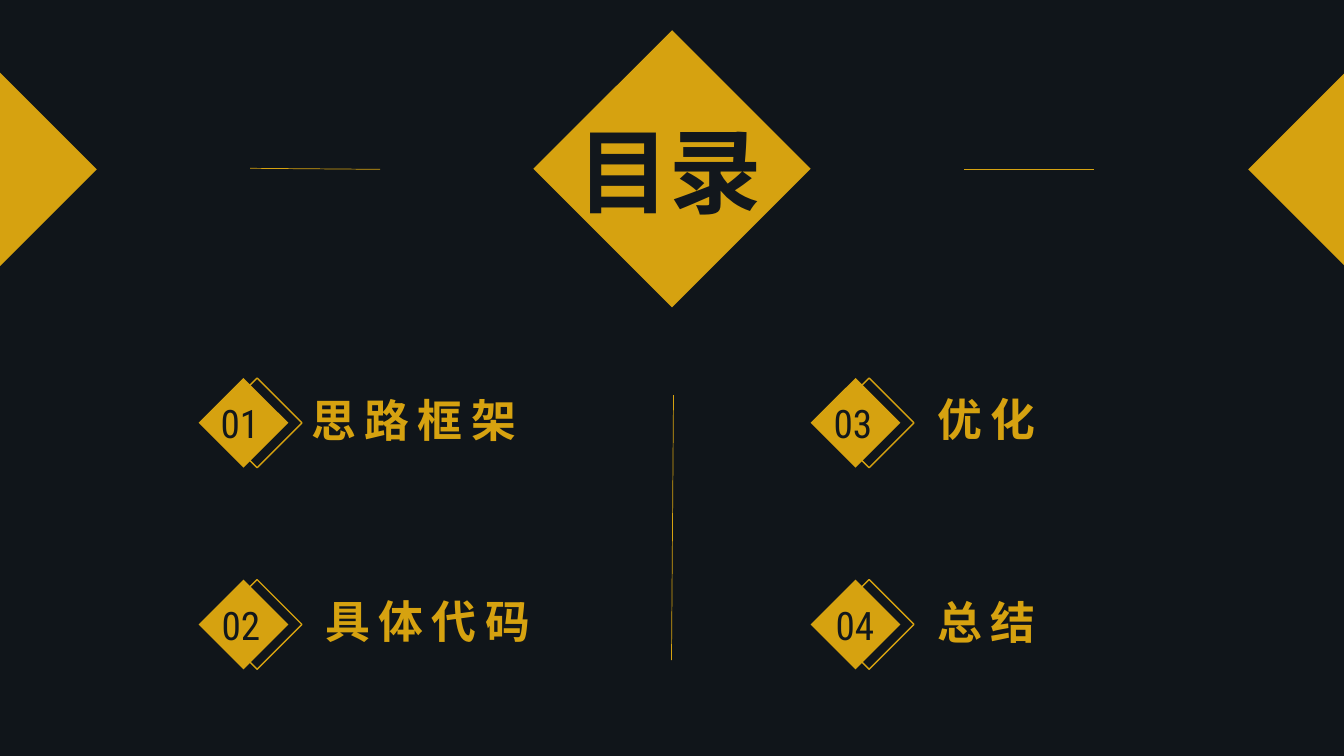
"""Builds a dark agenda slide with a diamond banner and four numbered topics."""
import pptx
import pptx.dml.color
import pptx.enum.shapes
import pptx.enum.text
import pptx.oxml.ns
import pptx.util
from lxml import etree

Inches = pptx.util.Inches
Pt = pptx.util.Pt
RGBColor = pptx.dml.color.RGBColor
qn = pptx.oxml.ns.qn

NIGHT = RGBColor(0x10, 0x15, 0x1A)
INK = RGBColor(0x12, 0x17, 0x1C)
GOLD = RGBColor(0xD6, 0xA2, 0x10)
CHINESE = "Noto Sans CJK SC"


class Painter:
    """Holds the style and the current slide."""

    def __init__(self, page):
        self.page = page
        fill = page.background.fill
        fill.solid()
        fill.fore_color.rgb = NIGHT

    def diamond(self, left, top, size, outlined=False):
        """Adds a gold diamond, either filled or outlined."""
        shape = self.page.shapes.add_shape(
            pptx.enum.shapes.MSO_SHAPE.DIAMOND,
            Inches(left), Inches(top), Inches(size), Inches(size))
        shape.rotation = 90
        shape.shadow.inherit = False
        if outlined:
            shape.fill.background()
            shape.line.color.rgb = GOLD
            shape.line.width = Pt(1)
        else:
            shape.fill.solid()
            shape.fill.fore_color.rgb = GOLD
            shape.line.fill.background()

    def text(self, words, left, top, width, height, size, font, color,
             bold=False, spacing=0):
        """Adds a one-line text box."""
        box = self.page.shapes.add_textbox(
            Inches(left), Inches(top), Inches(width), Inches(height))
        frame = box.text_frame
        frame.text = words
        frame.word_wrap = True
        frame.auto_size = pptx.enum.text.MSO_AUTO_SIZE.SHAPE_TO_FIT_TEXT
        span = frame.paragraphs[0].runs[0]
        span.font.size = Pt(size)
        span.font.bold = bold
        span.font.color.rgb = color
        span.font.name = font
        properties = span.font._element
        etree.SubElement(properties, qn("a:ea")).set("typeface", CHINESE)
        if spacing:
            properties.set("spc", str(spacing * 100))

    def line(self, start, end):
        """Adds a thin gold line between two points."""
        connector = self.page.shapes.add_connector(
            pptx.enum.shapes.MSO_CONNECTOR.STRAIGHT,
            *(Inches(value) for value in start + end))
        connector.line.color.rgb = GOLD
        connector.line.width = Pt(0.5)
        etree.SubElement(connector._element.spPr, qn("a:effectLst"))

    def topic(self, number, label, left, top, number_left, label_left, label_top):
        """Adds a doubled diamond with its number and label."""
        self.diamond(left, top, 0.89)
        self.diamond(left + 0.135, top, 0.89, outlined=True)
        self.text(number, number_left, top + 0.165, 0.75, 0.57, 28,
                  "Roboto Condensed", INK)
        self.text(label, label_left, label_top, 2.75, 0.64, 32, CHINESE, GOLD,
                  bold=True, spacing=6)


deck = pptx.Presentation()
deck.slide_width = Inches(13.33)
deck.slide_height = Inches(7.5)
painter = Painter(deck.slides.add_slide(deck.slide_layouts[6]))

for left, top, size in ((12.38, 0.72, 1.92), (-0.96, 0.72, 1.92), (5.29, 0.3, 2.75)):
    painter.diamond(left, top, size)
painter.text("目录", 5.63, 1.08, 2.41, 1.21, 66, "Arial", INK, bold=True)

LEFT, RIGHT = 1.97, 8.04
UPPER, LOWER = 3.75, 5.75
for topic in (
    ("01", "思路框架", LEFT, UPPER, 2.09, 2.99, 3.85),
    ("02", "具体代码", LEFT, LOWER, 2.1, 3.13, 5.84),
    ("03", "优化", RIGHT, UPPER, 8.17, 9.2, 3.84),
    ("04", "总结", RIGHT, LOWER, 8.19, 9.2, 5.85),
):
    painter.topic(*topic)

painter.line((6.68, 3.92), (6.66, 6.55))
painter.line((10.85, 1.68), (9.56, 1.68))
painter.line((3.77, 1.68), (2.48, 1.67))

deck.save("out.pptx")
